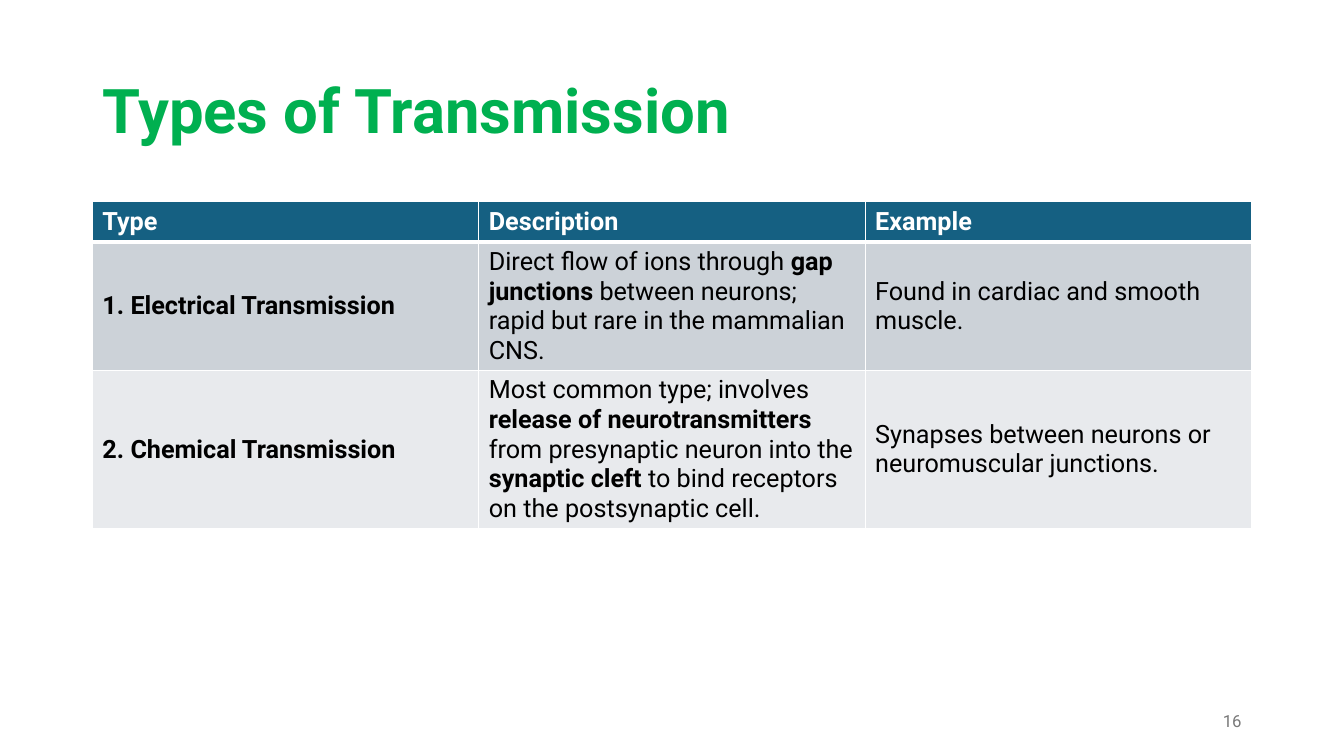
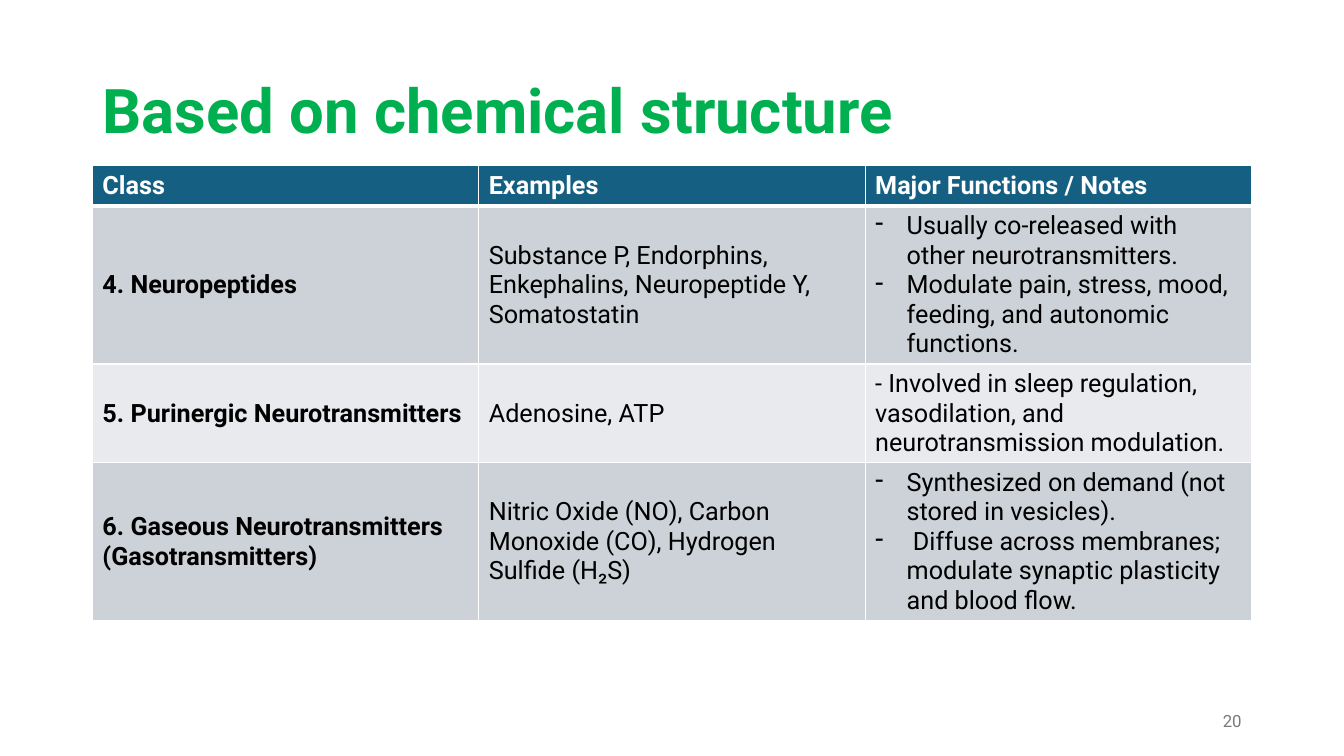
import pptx
import pptx.dml.color
import pptx.enum.text
import pptx.oxml
import pptx.oxml.ns
import pptx.util
from pptx.dml.color import RGBColor
from pptx.enum.text import MSO_ANCHOR, MSO_AUTO_SIZE, PP_ALIGN
from pptx.util import Pt

GREEN = RGBColor(0x00, 0xB0, 0x50)
TEAL = RGBColor(0x15, 0x60, 0x82)
BAND_DARK = RGBColor(0xCC, 0xD2, 0xD8)
BAND_LIGHT = RGBColor(0xE8, 0xEA, 0xED)
GRAY = RGBColor(0x79, 0x79, 0x79)
BLACK = RGBColor(0x00, 0x00, 0x00)
WHITE = RGBColor(0xFF, 0xFF, 0xFF)

FONT = "Roboto"
LEFT, WIDTH = 66, 828
HEADER_HEIGHT = 29
BULLET = "- "
BULLET_INDENT = 22.5

TRANSMISSION_ROWS = [
    ["Type", "Description", "Example"],
    ["**1. Electrical Transmission**",
     "Direct flow of ions through **gap junctions** between neurons; "
     "rapid but rare in the mammalian CNS.",
     "Found in cardiac and smooth muscle."],
    ["**2. Chemical Transmission**",
     "Most common type; involves **release of neurotransmitters** from "
     "presynaptic neuron into the **synaptic cleft** to bind receptors "
     "on the postsynaptic cell.",
     "Synapses between neurons or neuromuscular junctions."],
]

# A list in a cell is bulleted; a string is plain text.
STRUCTURE_ROWS = [
    ["Class", "Examples", "Major Functions / Notes"],
    ["**4. Neuropeptides**",
     "Substance P, Endorphins, Enkephalins, Neuropeptide Y, Somatostatin",
     ["Usually co-released with other neurotransmitters.",
      "Modulate pain, stress, mood, feeding, and autonomic functions."]],
    ["**5. Purinergic Neurotransmitters**",
     "Adenosine, ATP",
     "- Involved in sleep regulation, vasodilation, and "
     "neurotransmission modulation."],
    ["**6. Gaseous Neurotransmitters (Gasotransmitters)**",
     "Nitric Oxide (NO), Carbon Monoxide (CO), Hydrogen Sulfide (H₂S)",
     ["Synthesized on demand (not stored in vesicles).",
      " Diffuse across membranes; modulate synaptic plasticity "
      "and blood flow."]],
]


def write_text(p, text, size=18, color=BLACK, bold=False,
               align=PP_ALIGN.LEFT, spacing=None):
    """Fill a paragraph; text between ** marks is bold."""
    p.alignment = align
    if spacing:
        p.line_spacing = spacing
    for i, part in enumerate(text.split("**")):
        if part:
            r = p.add_run()
            r.text = part
            r.font.name = FONT
            r.font.size = Pt(size)
            r.font.bold = bold or i % 2 == 1
            r.font.color.rgb = color


def add_bullet(p):
    pPr = p._p.get_or_add_pPr()
    pPr.set("marL", str(Pt(BULLET_INDENT)))
    pPr.set("indent", str(-Pt(BULLET_INDENT)))
    bullet = pptx.oxml.parse_xml(
        f'<a:buChar {pptx.oxml.ns.nsdecls("a")} char="-"/>')
    pPr.append(bullet)


def set_borders(cell, top=1, bottom=1):
    tcPr = cell._tc.get_or_add_tcPr()
    sides = {"lnL": 1, "lnR": 1, "lnT": top, "lnB": bottom}
    for i, (side, width) in enumerate(sides.items()):
        line = pptx.oxml.parse_xml(
            f'<a:{side} {pptx.oxml.ns.nsdecls("a")} w="{Pt(width)}">'
            f'<a:solidFill><a:srgbClr val="{WHITE}"/></a:solidFill>'
            f'</a:{side}>')
        tcPr.insert(i, line)


def fill_cell(cell, content, row):
    header = row == 0
    cell.vertical_anchor = MSO_ANCHOR.MIDDLE
    cell.fill.solid()
    cell.fill.fore_color.rgb = (
        TEAL if header else BAND_DARK if row % 2 else BAND_LIGHT)
    set_borders(cell, top=3 if row == 1 else 1, bottom=3 if header else 1)
    bulleted = isinstance(content, list)
    tf = cell.text_frame
    for i, text in enumerate(content if bulleted else [content]):
        p = tf.add_paragraph() if i else tf.paragraphs[0]
        write_text(p, text, color=WHITE if header else BLACK, bold=header)
        if bulleted:
            add_bullet(p)


def add_table(s, rows, top, body_heights):
    heights = [HEADER_HEIGHT] + body_heights
    table = s.shapes.add_table(len(rows), len(rows[0]), Pt(LEFT), Pt(top),
                               Pt(WIDTH), Pt(sum(heights))).table
    for row, (contents, height) in enumerate(zip(rows, heights)):
        table.rows[row].height = Pt(height)
        for col, content in enumerate(contents):
            fill_cell(table.cell(row, col), content, row)


def add_title(s, text):
    sp = s.shapes.title
    sp.left, sp.top = Pt(LEFT), Pt(28.8)
    sp.width, sp.height = Pt(WIDTH), Pt(104.4)
    tf = sp.text_frame
    tf.auto_size = MSO_AUTO_SIZE.NONE
    tf.vertical_anchor = MSO_ANCHOR.MIDDLE
    write_text(tf.paragraphs[0], text, size=44, color=GREEN, bold=True,
               spacing=0.9)


def add_page_number(s, number):
    sp = s.shapes.add_textbox(Pt(LEFT + WIDTH - 216), Pt(500.5),
                              Pt(216), Pt(28.8))
    tf = sp.text_frame
    tf.word_wrap = True
    tf.vertical_anchor = MSO_ANCHOR.MIDDLE
    write_text(tf.paragraphs[0], str(number), size=12, color=GRAY,
               align=PP_ALIGN.RIGHT)


def add_table_slide(prs, title, number, rows, top, body_heights):
    s = prs.slides.add_slide(prs.slide_layouts.get_by_name("Title Only"))
    add_title(s, title)
    add_table(s, rows, top, body_heights)
    add_page_number(s, number)


def main():
    prs = pptx.Presentation()
    prs.slide_width, prs.slide_height = Pt(960), Pt(540)
    add_table_slide(prs, "Types of Transmission", 16,
                    TRANSMISSION_ROWS, 144, [91, 112])
    add_table_slide(prs, "Based on chemical structure", 20,
                    STRUCTURE_ROWS, 118.2, [112, 70, 112])
    prs.save("out.pptx")


if __name__ == "__main__":
    main()
